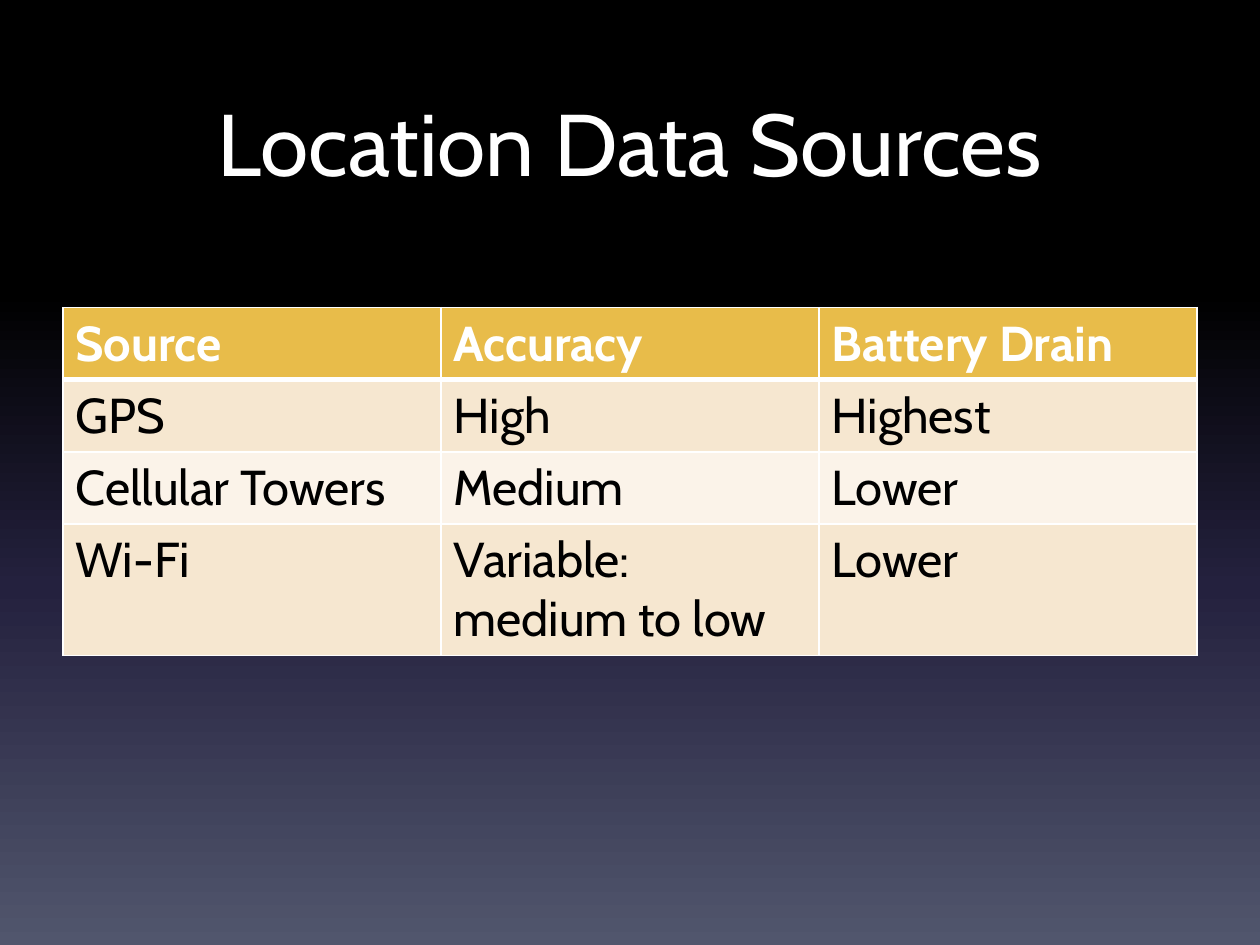
from dataclasses import dataclass

from lxml import etree
from pptx import Presentation
from pptx.dml.color import RGBColor
from pptx.enum.text import MSO_ANCHOR, PP_ALIGN
from pptx.oxml.ns import qn
from pptx.util import Cm, Pt

CENTER = PP_ALIGN.CENTER
MIDDLE = MSO_ANCHOR.MIDDLE


@dataclass(frozen=True)
class Theme:
    """Colours, font and type sizes."""
    font: str = "Cabin"
    light: str = "FFFFFF"
    dark: str = "000000"
    head: str = "E8BC4A"
    bands: tuple = ("F6E7D0", "FBF3E9")
    stops: tuple = ((0, "000000"), (31, "000000"), (62, "24213E"), (100, "51566D"))
    title: int = 50
    body: int = 28
    thin: int = 1
    thick: int = 3


class Deck:
    """Holds the theme and the current slide."""

    def __init__(self, theme):
        """Start a deck with one title-only slide."""
        self.theme = theme
        self.file = Presentation()
        self.file.slide_width, self.file.slide_height = Cm(25.4), Cm(19.05)
        self.slide = self.file.slides.add_slide(self.file.slide_layouts[5])

    def backdrop(self):
        """Fill the background from top to bottom."""
        fill = self.slide.background.fill
        fill.gradient()
        fill.gradient_angle = 270
        stops = next(self.slide.element.iter(qn("a:gsLst")))
        for old in list(stops):
            stops.remove(old)
        for place, color in self.theme.stops:
            stop = etree.SubElement(stops, qn("a:gs"), pos=str(place * 1000))
            etree.SubElement(stop, qn("a:srgbClr"), val=color)

    def style(self, frame, size, color, bold=False):
        """Format every run in a text frame."""
        for para in frame.paragraphs:
            for run in para.runs:
                run.font.name = self.theme.font
                run.font.size = Pt(size)
                run.font.bold = bold
                run.font.color.rgb = RGBColor.from_string(color)

    def title(self, text, left, top, width, height):
        """Place and format the title."""
        shape = self.slide.shapes.title
        shape.left, shape.top, shape.width, shape.height = left, top, width, height
        frame = shape.text_frame
        frame.text = text
        frame.vertical_anchor = MIDDLE
        frame.paragraphs[0].alignment = CENTER
        self.style(frame, self.theme.title, self.theme.light)

    def border(self, cell, top, bottom):
        """Draw the four edges of a cell."""
        thin = self.theme.thin
        props = cell._tc.get_or_add_tcPr()
        for side, width in (("L", thin), ("R", thin), ("T", top), ("B", bottom)):
            line = etree.SubElement(props, qn(f"a:ln{side}"), w=str(Pt(width)))
            fill = etree.SubElement(line, qn("a:solidFill"))
            etree.SubElement(fill, qn("a:srgbClr"), val=self.theme.light)

    def table(self, rows, left, top, width, heights):
        """Add a table with a header and banded rows."""
        theme = self.theme
        grid = self.slide.shapes.add_table(
            len(rows), len(rows[0]), left, top, width, sum(heights)).table
        for r, (texts, height) in enumerate(zip(rows, heights)):
            grid.rows[r].height = height
            head = r == 0
            back = theme.head if head else theme.bands[(r - 1) % 2]
            color = theme.light if head else theme.dark
            above = theme.thick if r == 1 else theme.thin
            below = theme.thick if head else theme.thin
            for c, text in enumerate(texts):
                cell = grid.cell(r, c)
                cell.text_frame.text = text
                self.style(cell.text_frame, theme.body, color, head)
                self.border(cell, above, below)
                cell.fill.solid()
                cell.fill.fore_color.rgb = RGBColor.from_string(back)


deck = Deck(Theme())
deck.backdrop()
deck.title("Location Data Sources", Cm(1.27), Cm(1.27), Cm(22.86), Cm(3.18))
deck.table(
    [
        ("Source", "Accuracy", "Battery Drain"),
        ("GPS", "High", "Highest"),
        ("Cellular Towers", "Medium", "Lower"),
        ("Wi-Fi", "Variable: medium to low", "Lower"),
    ],
    Cm(1.27), Cm(6.2), Cm(22.86), [Cm(1.45)] * 3 + [Cm(2.64)])
deck.file.save("out.pptx")
